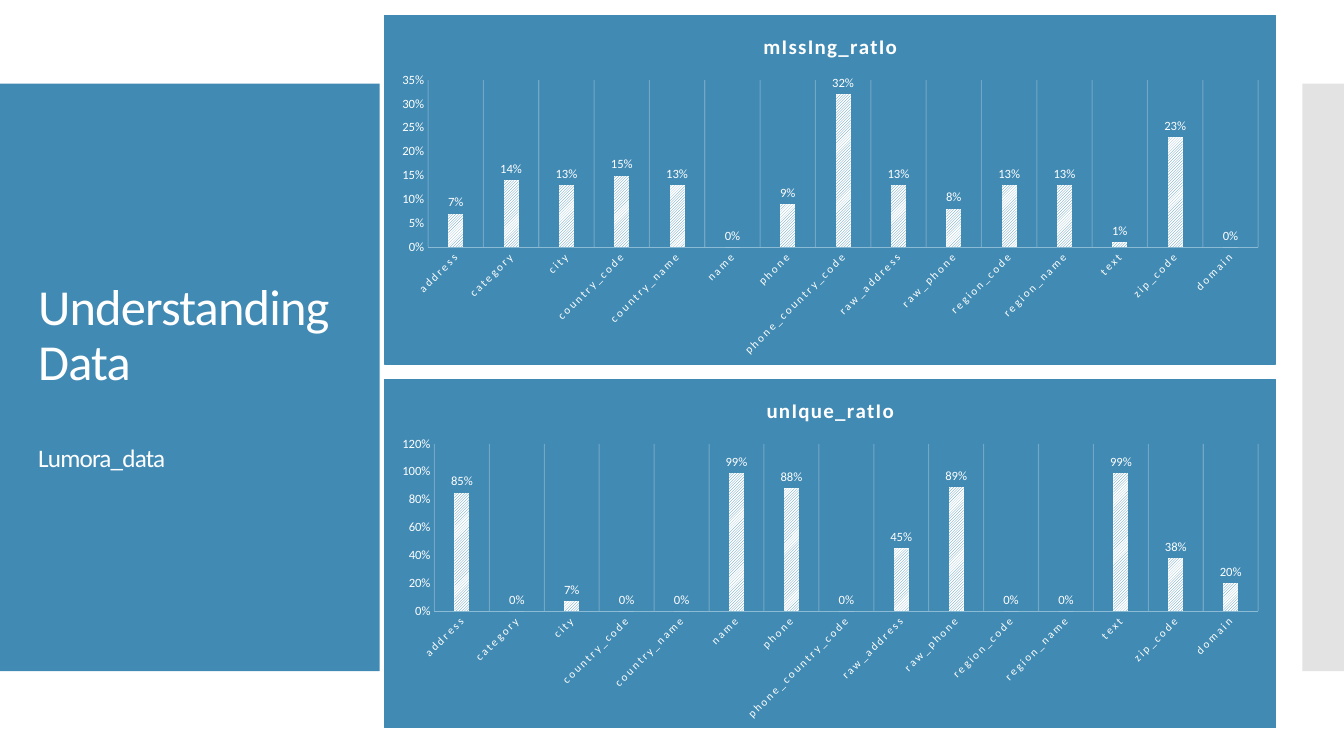
from dataclasses import dataclass

from pptx import Presentation
from pptx.chart.data import CategoryChartData
from pptx.dml.color import RGBColor
from pptx.enum.chart import XL_CHART_TYPE, XL_LABEL_POSITION, XL_TICK_MARK
from pptx.enum.dml import MSO_PATTERN
from pptx.enum.shapes import MSO_SHAPE
from pptx.enum.text import MSO_ANCHOR
from pptx.oxml import parse_xml
from pptx.oxml.ns import nsdecls, qn
from pptx.slide import Slide
from pptx.text.text import Font
from pptx.util import Emu, Inches, Pt

UNIT = Inches(1 / 12)  # the slide is a grid of 160 columns by 90 rows
COLS, ROWS = 160, 90
FACE = "Calibri"
HUES = {"blue": "418AB3", "pale": "8ABAD4", "gray": "C8C8C8", "white": "FFFFFF"}
FIELDS = ("address", "category", "city", "country_code", "country_name", "name",
          "phone", "phone_country_code", "raw_address", "raw_phone",
          "region_code", "region_name", "text", "zip_code", "domain")


@dataclass(frozen=True)
class Box:
    col: float
    row: float
    wide: float
    high: float

    def place(self) -> tuple[Emu, ...]:
        return tuple(Emu(round(n * UNIT))
                     for n in (self.col, self.row, self.wide, self.high))


@dataclass(frozen=True)
class Panel:
    box: Box
    hue: str
    alpha: int = 100


@dataclass(frozen=True)
class Line:
    text: str
    size: int
    gap: int


@dataclass(frozen=True)
class Ratio:
    title: str
    row: float
    top: float
    step: float
    vals: tuple[float, ...]


PANELS = (Panel(Box(0, 9.96, 45.2, 69.96), "blue"),
          Panel(Box(155.04, 9.96, 4.96, 69.96), "gray", 50))
TITLE = Box(3.36, 14.76, 38.64, 60.36)
LINES = (Line("Understanding Data", 36, 0), Line("Lumora_data", 18, 39))
RATIOS = (
    Ratio("mIssIng_ratIo", 1.8, 0.35, 0.05,
          (0.07, 0.14, 0.13, 0.15, 0.13, 0, 0.09, 0.32, 0.13, 0.08, 0.13, 0.13,
           0.01, 0.23, 0)),
    Ratio("unIque_ratIo", 45.12, 1.2, 0.2,
          (0.85, 0, 0.07, 0, 0, 0.99, 0.88, 0, 0.45, 0.89, 0, 0, 0.99, 0.38,
           0.2)),
)


def rgb(hue: str) -> RGBColor:
    return RGBColor.from_string(HUES[hue])


def style(font: Font, size: float, bold: bool = False) -> None:
    font.name, font.size, font.bold = FACE, Pt(size), bold
    font.color.rgb = rgb("white")


def fade(tint, alpha: int) -> None:
    """Set the opacity, in percent, of a colour element."""
    tint.append(parse_xml(f'<a:alpha {nsdecls("a")} val="{alpha * 1000}"/>'))


def add_panel(slide: Slide, panel: Panel) -> None:
    shape = slide.shapes.add_shape(MSO_SHAPE.RECTANGLE, *panel.box.place())
    shape.shadow.inherit = False
    shape.fill.solid()
    shape.fill.fore_color.rgb = rgb(panel.hue)
    shape.line.fill.background()
    if panel.alpha < 100:
        fade(next(shape.element.iter(qn("a:srgbClr"))), panel.alpha)


def add_title(slide: Slide) -> None:
    frame = slide.shapes.add_textbox(*TITLE.place()).text_frame
    frame.word_wrap = True
    frame.vertical_anchor = MSO_ANCHOR.MIDDLE
    frame.text = "\n".join(line.text for line in LINES)
    for para, line in zip(frame.paragraphs, LINES):
        para.line_spacing = 0.9
        para.space_before = Pt(line.gap)
        run = para.runs[0]
        style(run.font, line.size)
        run.font._element.set("spc", "-60")


def add_ratio(slide: Slide, ratio: Ratio) -> None:
    data = CategoryChartData(number_format="0%")
    data.categories = FIELDS
    data.add_series("Series 1", ratio.vals)
    box = Box(45.72, ratio.row, 106.25, 41.6)
    chart = slide.shapes.add_chart(
        XL_CHART_TYPE.COLUMN_CLUSTERED, *box.place(), data).chart
    chart.has_legend = False
    style(chart.font, 10)
    chart.has_title = True
    chart.chart_title.include_in_layout = False
    head = chart.chart_title.text_frame
    head.text = ratio.title
    style(head.paragraphs[0].runs[0].font, 15, True)

    names, scale = chart.category_axis, chart.value_axis
    for axis, size in ((names, 8), (scale, 9)):
        axis.major_tick_mark = axis.minor_tick_mark = XL_TICK_MARK.NONE
        style(axis.tick_labels.font, size)
    names.format.line.color.rgb = rgb("pale")
    names.format.line.width = Pt(0.25)
    names.has_major_gridlines = True
    grid = names.major_gridlines.format.line
    grid.color.rgb = rgb("white")
    grid.width = Pt(0.75)
    scale.has_major_gridlines = False
    scale.format.line.fill.background()
    scale.minimum_scale, scale.maximum_scale = 0, ratio.top
    scale.major_unit = ratio.step
    scale.tick_labels.number_format = "0%"
    scale.tick_labels.number_format_is_linked = False

    plot = chart.plots[0]
    plot.gap_width, plot.overlap, plot.vary_by_categories = 269, -20, False
    bars = plot.series[0]
    bars.invert_if_negative = False
    fill = bars.format.fill
    fill.patterned()
    fill.pattern = MSO_PATTERN.LIGHT_UPWARD_DIAGONAL
    fill.fore_color.rgb, fill.back_color.rgb = rgb("blue"), rgb("white")
    tags = bars.data_labels
    tags.show_value = True
    tags.position = XL_LABEL_POSITION.OUTSIDE_END
    tags.number_format, tags.number_format_is_linked = "0%", False
    style(tags.font, 9)
    finish(chart.element)


def finish(root) -> None:
    """Add the chart's backdrop, letter spacing, label slant and faint grid."""
    paint = f'<a:solidFill><a:srgbClr val="{HUES["blue"]}"/></a:solidFill>'
    root.find(qn("c:chart")).addnext(parse_xml(
        f'<c:spPr {nsdecls("c", "a")}>{paint}'
        f'<a:ln w="{Pt(0.75)}">{paint}</a:ln></c:spPr>'))
    for place, key, value in (
            ("c:title//a:rPr", "spc", "90"),
            ("c:catAx/c:txPr//a:defRPr", "spc", "150"),
            ("c:catAx/c:txPr/a:bodyPr", "rot", "-2700000")):
        for node in root.xpath(f".//{place}"):
            node.set(key, value)
    fade(root.xpath(".//c:catAx/c:majorGridlines//a:srgbClr")[0], 25)


def main() -> None:
    deck = Presentation()
    deck.slide_width, deck.slide_height = COLS * UNIT, ROWS * UNIT
    slide = deck.slides.add_slide(deck.slide_layouts[6])
    for panel in PANELS:
        add_panel(slide, panel)
    add_title(slide)
    for ratio in RATIOS:
        add_ratio(slide, ratio)
    deck.save("out.pptx")


if __name__ == "__main__":
    main()
